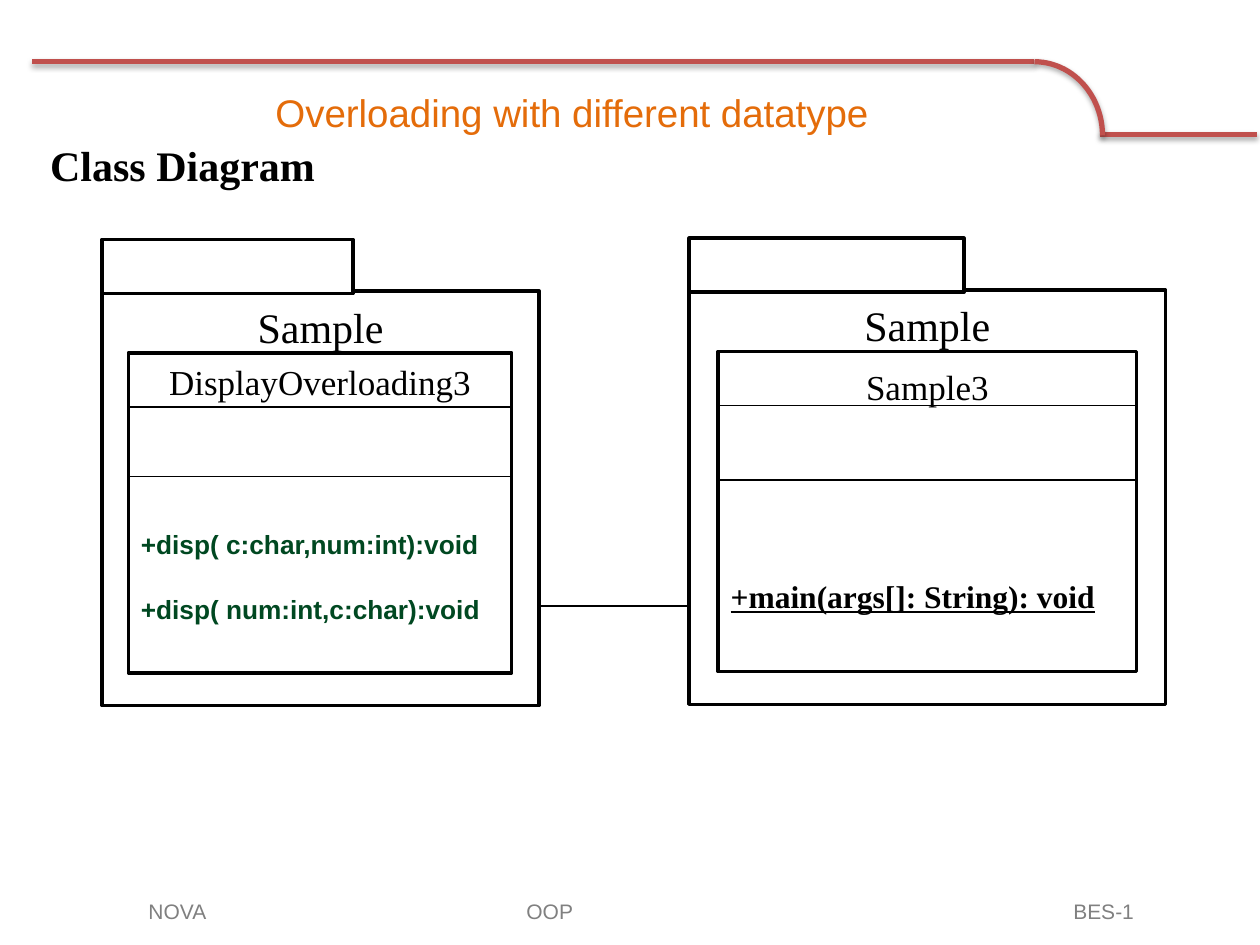
"""Build a class diagram slide with two packages joined by an association."""
from dataclasses import dataclass

from lxml import etree
from pptx import Presentation
from pptx.dml.color import RGBColor
from pptx.enum.shapes import MSO_CONNECTOR, MSO_SHAPE
from pptx.enum.text import MSO_ANCHOR, PP_ALIGN
from pptx.oxml.ns import qn
from pptx.util import Inches, Pt


@dataclass(frozen=True)
class Theme:
    sans: str = "Arial"
    serif: str = "Times New Roman"
    black: str = "000000"
    white: str = "FFFFFF"
    rule: str = "C0504D"
    title: str = "E46C0A"
    method: str = "004821"
    footer: str = "808080"
    heading_pt: int = 24
    title_pt: int = 22
    class_pt: int = 20
    main_pt: int = 18
    method_pt: int = 15
    footer_pt: int = 12
    rule_pt: float = 3
    box_pt: float = 2
    line_pt: float = 0.75


T = Theme()
DISP = dict(size=T.method_pt, font=T.sans, color=T.method, bold=True)
MAIN = dict(size=T.main_pt, bold=True, underline=True)
PACKAGES = [
    dict(left=0.81, top=2.31, width=3.47, tab=1.99, name="Sample",
         class_left=1.02, class_width=3.04, class_name="DisplayOverloading3",
         inset=0.06, divider=0.98,
         methods=[("+disp( c:char,num:int):void", 72, DISP),
                  ("+disp( num:int,c:char):void", 19, DISP)]),
    dict(left=5.47, top=2.30, width=3.78, tab=2.18, name="Sample",
         class_left=5.70, class_width=3.32, class_name="Sample3",
         inset=0.11, divider=1.02,
         methods=[("+main(args[]: String): void", 97, MAIN)]),
]
PACKAGE_HEIGHT, TAB_HEIGHT, TAB_RISE = 3.29, 0.43, 0.41
CLASS_DROP, CLASS_HEIGHT, NAME_HEIGHT = 0.49, 2.54, 0.43
RULES = [(8.73, 1.07, 9.98, 1.07), (8.21, 0.49, 0.25, 0.49)]
FOOTER = ["NOVA", "OOP", "BES-1"]
FOOTER_LEFT, FOOTER_TABS = 1.18, (3.0, 7.34)


def rgb(value):
    return RGBColor.from_string(value)


def set_effect(shape, shadow):
    effects = etree.SubElement(shape._element.spPr, qn("a:effectLst"))
    if shadow:
        outer = etree.SubElement(effects, qn("a:outerShdw"), blurRad=str(Pt(3.1)),
                                 dist=str(Pt(1.8)), dir="5400000", rotWithShape="0")
        color = etree.SubElement(outer, qn("a:srgbClr"), val=T.black)
        etree.SubElement(color, qn("a:alpha"), val="35000")


def add_line(slide, x1, y1, x2, y2, color=T.black, width=T.line_pt, shadow=False):
    line = slide.shapes.add_connector(MSO_CONNECTOR.STRAIGHT, *map(Inches, (x1, y1, x2, y2)))
    line.line.color.rgb = rgb(color)
    line.line.width = Pt(width)
    set_effect(line, shadow)


def add_box(slide, *at):
    box = slide.shapes.add_shape(MSO_SHAPE.RECTANGLE, *map(Inches, at))
    box.shadow.inherit = False
    box.fill.solid()
    box.fill.fore_color.rgb = rgb(T.white)
    box.line.color.rgb = rgb(T.black)
    box.line.width = Pt(T.box_pt)
    return box


def set_frame(shape, anchor=MSO_ANCHOR.TOP, inset=0.05):
    frame = shape.text_frame
    frame.word_wrap = True
    frame.vertical_anchor = anchor
    frame.margin_top = Inches(inset)
    return frame


def write(paragraph, text, size, font=T.serif, color=T.black, bold=False,
          underline=False, align=PP_ALIGN.LEFT, before=0):
    paragraph.alignment = align
    paragraph.space_before = Pt(before)
    run = paragraph.add_run()
    run.text = text
    run.font.size, run.font.name = Pt(size), font
    run.font.bold, run.font.underline = bold, underline
    run.font.color.rgb = rgb(color)


def add_label(slide, at, text, size, **style):
    box = slide.shapes.add_textbox(*map(Inches, at))
    paragraph = set_frame(box, MSO_ANCHOR.MIDDLE).paragraphs[0]
    write(paragraph, text, size, **style)
    return paragraph


def add_package(slide, p):
    body = add_box(slide, p["left"], p["top"], p["width"], PACKAGE_HEIGHT)
    write(set_frame(body, inset=0.08).paragraphs[0], p["name"], T.heading_pt,
          align=PP_ALIGN.CENTER)

    left, width, top = p["class_left"], p["class_width"], p["top"] + CLASS_DROP
    frame = set_frame(add_box(slide, left, top, width, CLASS_HEIGHT), inset=p["inset"])
    write(frame.paragraphs[0], p["class_name"], T.class_pt, align=PP_ALIGN.CENTER)
    for text, before, style in p["methods"]:
        write(frame.add_paragraph(), text, before=before, **style)

    add_box(slide, p["left"], p["top"] - TAB_RISE, p["tab"], TAB_HEIGHT)
    for drop in (NAME_HEIGHT, p["divider"]):
        add_line(slide, left, top + drop, left + width, top + drop)


def add_header(slide):
    for rule in RULES:
        add_line(slide, *rule, color=T.rule, width=T.rule_pt, shadow=True)
    arc = slide.shapes.add_shape(MSO_SHAPE.ARC, *map(Inches, (7.67, 0.49, 1.08, 1.17)))
    arc.fill.background()
    arc.line.color.rgb = rgb(T.rule)
    arc.line.width = Pt(T.rule_pt)
    set_effect(arc, True)
    add_label(slide, (0.5, 0.53, 8.08, 0.72), "Overloading with different datatype",
              T.title_pt, font=T.sans, color=T.title, align=PP_ALIGN.CENTER)
    add_label(slide, (0.3, 1.07, 9, 0.48), "Class Diagram", T.heading_pt, bold=True)


def add_footer(slide):
    paragraph = add_label(slide, (FOOTER_LEFT - 0.1, 7.1, 8.5, 0.27), "\t".join(FOOTER),
                          T.footer_pt, font=T.sans, color=T.footer)
    stops = etree.SubElement(paragraph._p.get_or_add_pPr(), qn("a:tabLst"))
    for stop in FOOTER_TABS:
        etree.SubElement(stops, qn("a:tab"), pos=str(Inches(stop)), algn="l")


def main():
    deck = Presentation()
    deck.slide_width, deck.slide_height = Inches(10), Inches(7.5)
    slide = deck.slides.add_slide(deck.slide_layouts[6])
    add_header(slide)
    for package in PACKAGES:
        add_package(slide, package)
    first, second = PACKAGES
    add_line(slide, first["left"] + first["width"], 4.81, second["left"], 4.81)
    add_footer(slide)
    deck.save("out.pptx")


main()
